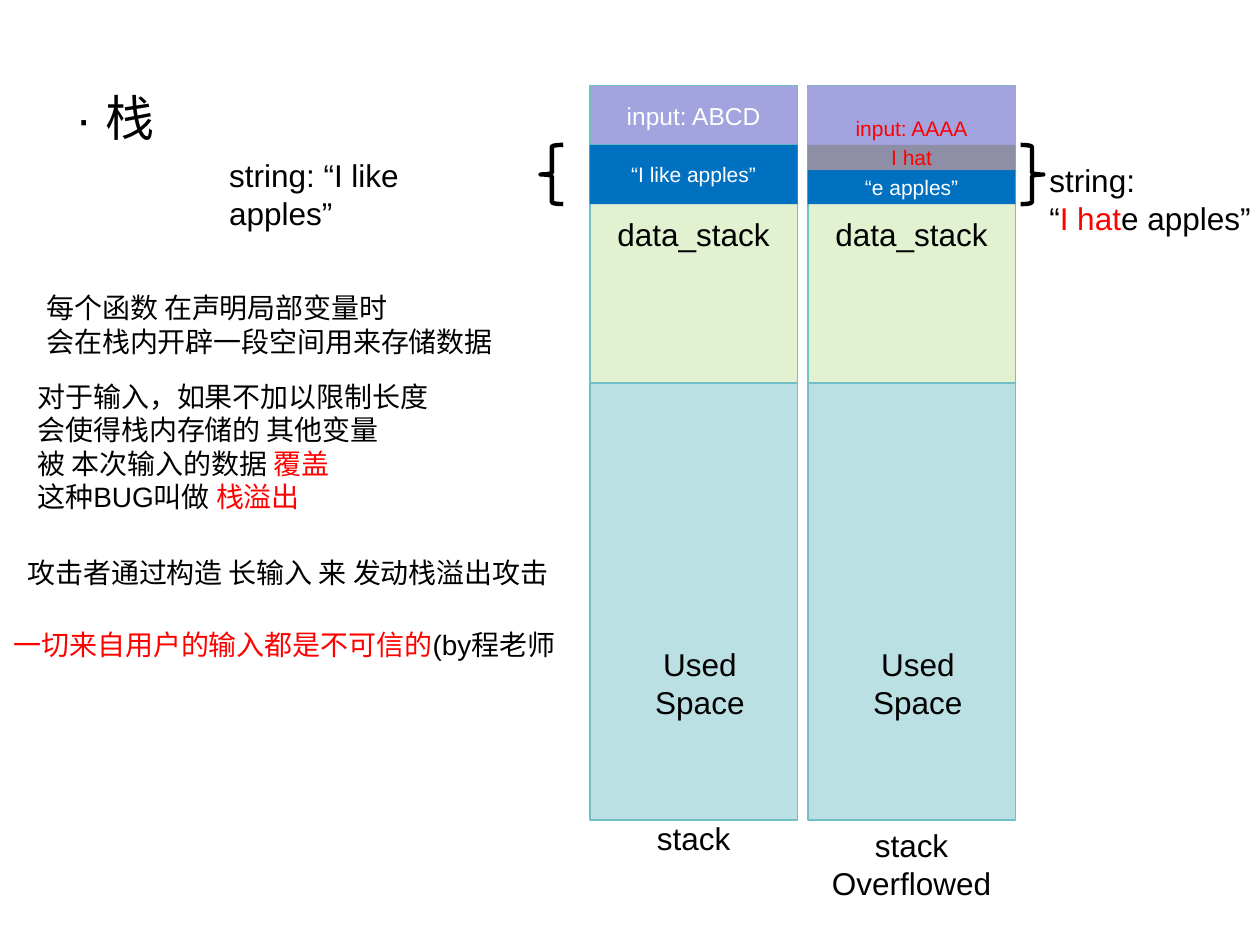
import pptx
import pptx.util
import pptx.dml.color
import pptx.enum.shapes
import pptx.enum.text
import pptx.oxml

Shape = pptx.enum.shapes.MSO_SHAPE
Align = pptx.enum.text.PP_ALIGN
Anchor = pptx.enum.text.MSO_ANCHOR
Fit = pptx.enum.text.MSO_AUTO_SIZE

WIDE = pptx.util.Inches(10)
HIGH = pptx.util.Inches(7.5)
COL = WIDE / 100
ROW = HIGH / 75

HUE = {
    "black": "000000",
    "white": "FFFFFF",
    "red": "FF0000",
    "edge": "72BFC5",
    "used": "BBE0E3",
    "data": "92D050",
    "input": "A3A3E0",
    "string": "0070C0",
    "hit": "808080",
}

NOTES = [
    ((2.7, 22.6, 42.7, 6.4), [
        [("每个函数 在声明局部变量时", "black")],
        [("会在栈内开辟一段空间用来存储数据", "black")],
    ]),
    ((2, 29.6, 40.6, 14), [
        [("对于输入，如果不加以限制长度", "black")],
        [("会使得栈内存储的 其他变量", "black")],
        [("被 本次输入的数据 ", "black"), ("覆盖", "red")],
        [("这种BUG叫做 ", "black"), ("栈溢出", "red")],
    ]),
    ((0.1, 49.3, 52.5, 3.7), [
        [("一切来自用户的输入都是不可信的", "red"), ("(by程老师", "black")],
    ]),
    ((1.2, 43.6, 50.3, 3.7), [
        [("攻击者通过构造 长输入 来 发动栈溢出攻击", "black")],
    ]),
]


def tint(name):
    return pptx.dml.color.RGBColor.from_string(HUE[name])


def place(box):
    left, top, width, height = box
    return [round(v) for v in (left * COL, top * ROW, width * COL, height * ROW)]


def put(target, style):
    for name, value in style.items():
        setattr(target, name, value)


def write(frame, lines, size, align, anchor):
    put(frame, {"word_wrap": True, "auto_size": Fit.NONE, "vertical_anchor": anchor})
    for i, line in enumerate(lines):
        para = frame.add_paragraph() if i else frame.paragraphs[0]
        para.alignment = align
        for words, hue in line:
            run = para.add_run()
            run.text = words
            put(run.font, {"name": "Arial", "size": pptx.util.Pt(size)})
            run.font.color.rgb = tint(hue)


def label(slide, box, lines, size=18, align=Align.LEFT):
    text = slide.shapes.add_textbox(*place(box))
    write(text.text_frame, lines, size, align, Anchor.TOP)


def fade(shape, share):
    paint = shape.fill._xPr.find(".//" + pptx.oxml.ns.qn("a:srgbClr"))
    alpha = pptx.oxml.parse_xml(
        f'<a:alpha {pptx.oxml.ns.nsdecls("a")} val="{share * 1000}"/>')
    paint.append(alpha)


def outline(shape, hue, width):
    shape.line.color.rgb = tint(hue)
    shape.line.width = pptx.util.Pt(width)


def block(slide, box, fill, words="", hue="white", size=12, edge=False, share=100):
    shape = slide.shapes.add_shape(Shape.RECTANGLE, *place(box))
    shape.shadow.inherit = False
    shape.fill.solid()
    shape.fill.fore_color.rgb = tint(fill)
    if share < 100:
        fade(shape, share)
    if edge:
        outline(shape, "edge", 1)
    else:
        shape.line.fill.background()
    if words:
        write(shape.text_frame, [[(words, hue)]], size, Align.CENTER, Anchor.MIDDLE)


def brace(slide, left, turn):
    shape = slide.shapes.add_shape(Shape.LEFT_BRACE, *place((left, 11.5, 1.8, 4.7)))
    shape.shadow.inherit = False
    shape.fill.background()
    outline(shape, "black", 2.5)
    shape.rotation = turn


def stack(slide, left, name, spot, cells):
    block(slide, (left, 30.4, 16.5, 34.7), "used", edge=True)
    label(slide, spot, [[(name, "black")]], align=Align.CENTER)
    block(slide, (left, 6.8, 16.5, 23.6), "data", "data_stack", "black", 18, True, 26)
    label(slide, (left + 1.6, 50.7, 14.3, 7), [[("Used Space", "black")]],
          align=Align.CENTER)
    for top, height, style in cells:
        block(slide, (left, top, 16.5, height), **style)


def head(slide):
    title = slide.shapes.title
    spot = place((5, 5.7, 8.8, 7.2))
    put(title, dict(zip(("left", "top", "width", "height"), spot)))
    write(title.text_frame, [[("· 栈", "black")]], 28, Align.LEFT, Anchor.MIDDLE)


def main():
    deck = pptx.Presentation()
    put(deck, {"slide_width": WIDE, "slide_height": HIGH})
    slide = deck.slides.add_slide(deck.slide_layouts[5])
    head(slide)
    for box, lines in NOTES:
        label(slide, box, lines, 16)
    stack(slide, 46.8, "stack", (50.7, 64.5, 8.7, 4), [
        (6.8, 4.7, {"fill": "input", "words": "input: ABCD", "size": 14, "edge": True}),
        (11.5, 4.7, {"fill": "string", "words": "“I like apples”"}),
    ])
    stack(slide, 64.1, "stack Overflowed", (65, 65.1, 14.7, 7), [
        (6.8, 6.7, {"fill": "input", "words": "input: AAAA", "hue": "red"}),
        (13.5, 2.7, {"fill": "string", "words": "“e apples”"}),
        (11.5, 2, {"fill": "hit", "words": "I hat", "hue": "red", "share": 59}),
    ])
    brace(slide, 42.9, 0)
    brace(slide, 81, 180)
    label(slide, (17.2, 11.9, 23.6, 7), [[("string: “I like apples”", "black")]])
    label(slide, (82.3, 12.3, 29, 7), [
        [("string:", "black")],
        [("“", "black"), ("I hat", "red"), ("e apples”", "black")],
    ])
    deck.save("out.pptx")


if __name__ == "__main__":
    main()
